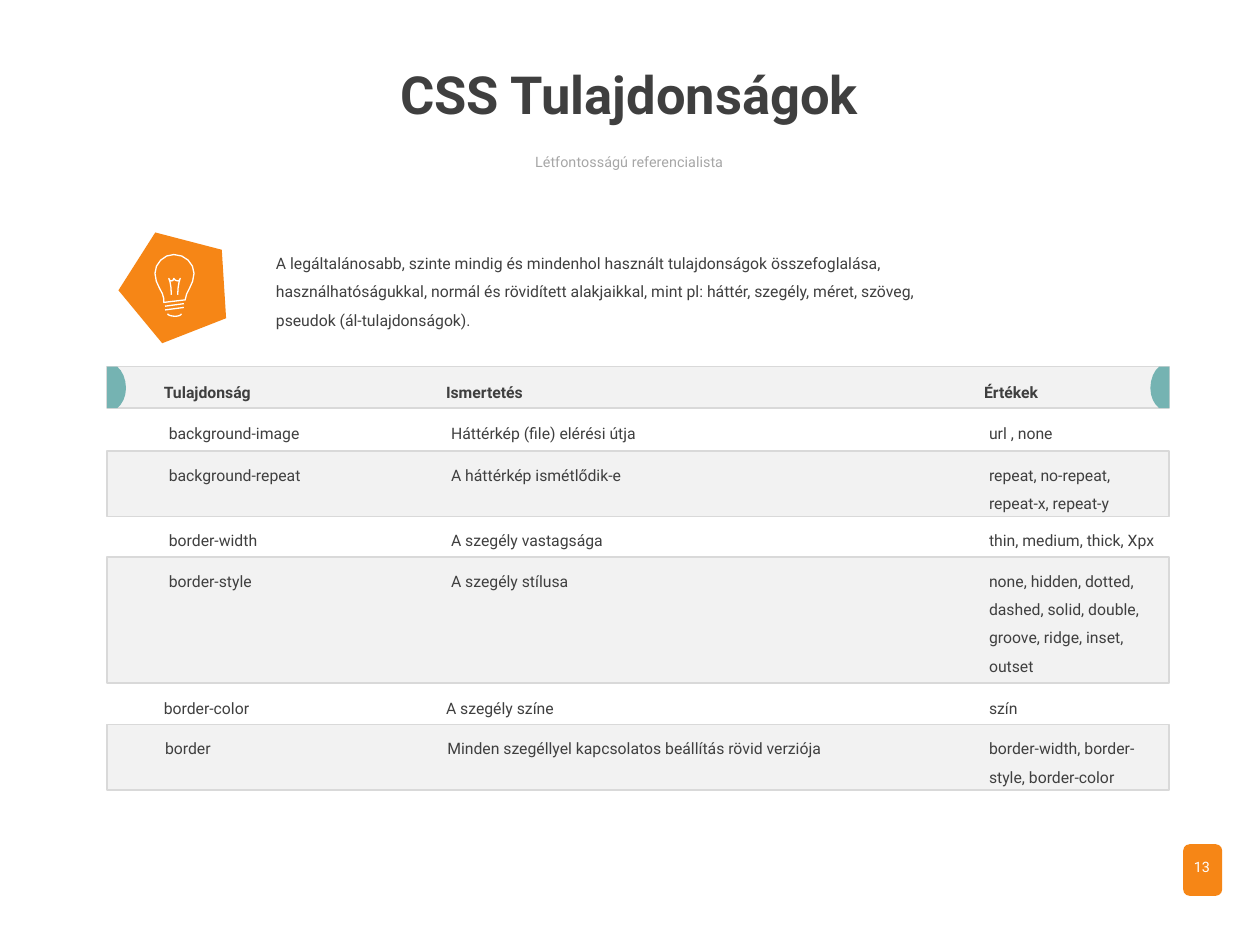
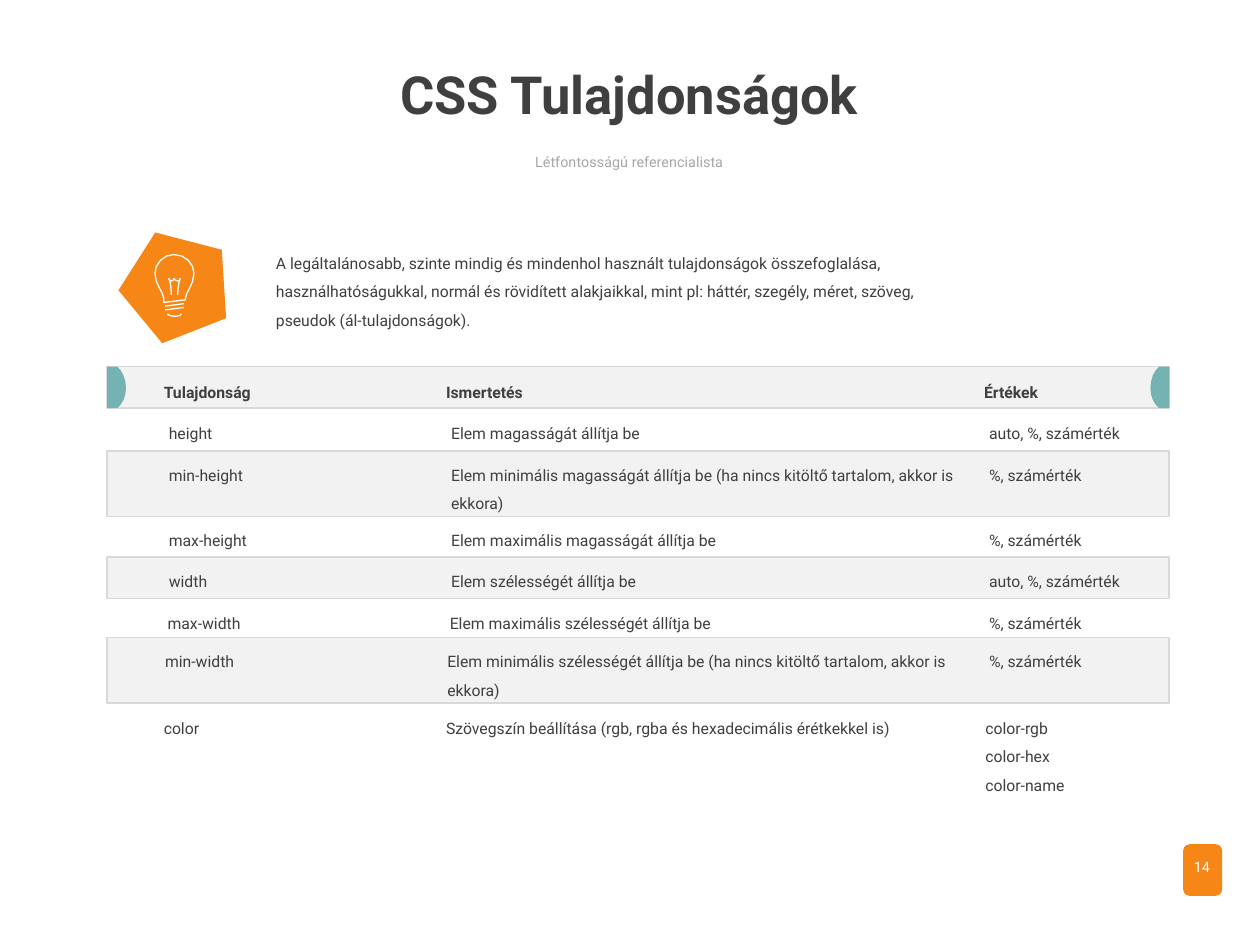
from lxml import etree
from pptx import Presentation
from pptx.dml.color import RGBColor
from pptx.enum.shapes import MSO_CONNECTOR, MSO_SHAPE
from pptx.enum.text import MSO_ANCHOR, MSO_AUTO_SIZE, PP_ALIGN
from pptx.oxml.ns import qn
from pptx.util import Inches, Pt

FONT = "Roboto"
COLORS = {
    "text": "3F3F3F",
    "muted": "A6A6A6",
    "orange": "F68616",
    "teal": "75B3B2",
    "band": "F2F2F2",
    "border": "D9D9D9",
    "white": "FFFFFF",
}

TITLE = "CSS Tulajdonságok"
SUBTITLE = "Létfontosságú referencialista"
INTRO = (
    "A legáltalánosabb, szinte mindig és mindenhol használt tulajdonságok összefoglalása, "
    "használhatóságukkal, normál és rövidített alakjaikkal, mint pl: háttér, szegély, méret, "
    "szöveg, pseudok (ál-tulajdonságok)."
)
FIRST_PAGE = 13

# Each row: top, indent of the first two columns, indent of the values,
# band height (0 for none), property, description, values
HEADER = (2.91, 0, 0, 0.33, "Tulajdonság", "Ismertetés", "Értékek")
PAGES = [
    [
        (3.24, 0.04, 0.04, 0, "background-image", "Háttérkép (file) elérési útja", "url , none"),
        (3.57, 0.04, 0.04, 0.52, "background-repeat", "A háttérkép ismétlődik-e",
         "repeat, no-repeat,\nrepeat-x, repeat-y"),
        (4.09, 0.04, 0.04, 0, "border-width", "A szegély vastagsága", "thin, medium, thick, Xpx"),
        (4.41, 0.04, 0.04, 1, "border-style", "A szegély stílusa",
         "none, hidden, dotted,\ndashed, solid, double,\ngroove, ridge, inset,\noutset"),
        (5.42, 0, 0.04, 0, "border-color", "A szegély színe", "szín"),
        (5.74, 0.01, 0.04, 0.52, "border",
         "Minden szegéllyel kapcsolatos beállítás rövid verziója",
         "border-width, border-style, border-color"),
    ],
    [
        (3.24, 0.04, 0.04, 0, "height", "Elem magasságát állítja be", "auto, %, számérték"),
        (3.57, 0.04, 0.04, 0.52, "min-height",
         "Elem minimális magasságát állítja be (ha nincs kitöltő tartalom, akkor is ekkora)",
         "%, számérték"),
        (4.09, 0.04, 0.04, 0, "max-height", "Elem maximális magasságát állítja be",
         "%, számérték"),
        (4.41, 0.04, 0.04, 0.33, "width", "Elem szélességét állítja be", "auto, %, számérték"),
        (4.75, 0.03, 0.04, 0, "max-width", "Elem maximális szélességét állítja be",
         "%, számérték"),
        (5.05, 0.01, 0.04, 0.52, "min-width",
         "Elem minimális szélességét állítja be (ha nincs kitöltő tartalom, akkor is ekkora)",
         "%, számérték"),
        (5.58, 0, 0.01, 0, "color",
         "Szövegszín beállítása (rgb, rgba és hexadecimális érétkekkel is)",
         "color-rgb\ncolor-hex\ncolor-name"),
    ],
]

BAND_LEFT, BAND_WIDTH = 0.85, 8.43
BAND_DROP = 0.01
COLUMNS = ((1.21, 2.24), (3.45, 4.27), (7.72, 1.56))
LINE_BOX = 0.3

# Outlines: start point, cubic curves (control, control, end), closing corners
CAP = ((0.93, 2.91), [
    ((0.97, 2.94), (1, 3.01), (1, 3.08)),
    ((1, 3.15), (0.97, 3.21), (0.93, 3.24)),
], [(0.85, 3.24), (0.85, 2.91)])
BULB_GLASS = ((1.47, 2.38), [
    ((1.47, 2.32), (1.54, 2.26), (1.54, 2.17)),
    ((1.54, 2.09), (1.47, 2.02), (1.38, 2.02)),
    ((1.3, 2.02), (1.23, 2.09), (1.23, 2.17)),
    ((1.23, 2.26), (1.3, 2.32), (1.3, 2.37)),
], [(1.3, 2.4)])
BULB_BASE = ((1.44, 2.49), [
    ((1.44, 2.5), (1.42, 2.51), (1.39, 2.51)),
    ((1.36, 2.51), (1.33, 2.5), (1.33, 2.49)),
], [])
BULB_FILAMENT = ((1.36, 2.34), [
    ((1.36, 2.25), (1.34, 2.21), (1.34, 2.21)),
    ((1.34, 2.22), (1.35, 2.23), (1.36, 2.23)),
    ((1.37, 2.23), (1.38, 2.22), (1.38, 2.21)),
    ((1.38, 2.22), (1.4, 2.23), (1.41, 2.23)),
    ((1.42, 2.23), (1.43, 2.22), (1.43, 2.21)),
    ((1.43, 2.21), (1.41, 2.26), (1.41, 2.34)),
], [])
BULB_THREADS = (2.43, 2.46)


def color(name):
    return RGBColor.from_string(COLORS[name])


def box(*lengths):
    return [Inches(length) for length in lengths]


def format_text(frame, size=9, color_name="text", bold=False, align=PP_ALIGN.LEFT, spacing=1.5):
    for paragraph in frame.paragraphs:
        paragraph.alignment = align
        paragraph.line_spacing = spacing
        paragraph.space_before = Pt(0)
        font = paragraph.font
        font.name, font.size, font.bold = FONT, Pt(size), bold
        font.color.rgb = color(color_name)


def fill_placeholder(placeholder, text, bounds, **style):
    placeholder.left, placeholder.top, placeholder.width, placeholder.height = box(*bounds)
    frame = placeholder.text_frame
    frame.text = text
    frame.auto_size = MSO_AUTO_SIZE.NONE
    frame.vertical_anchor = MSO_ANCHOR.TOP
    format_text(frame, align=PP_ALIGN.CENTER, spacing=0.9, **style)


def add_text(slide, text, bounds, **style):
    frame = slide.shapes.add_textbox(*box(*bounds)).text_frame
    frame.word_wrap = True
    frame.auto_size = MSO_AUTO_SIZE.SHAPE_TO_FIT_TEXT
    frame.margin_left = frame.margin_right = Inches(0.09)
    frame.text = text
    format_text(frame, **style)


def paint(shape, fill=None, line=None, width=1):
    shape.shadow.inherit = False
    if fill:
        shape.fill.solid()
        shape.fill.fore_color.rgb = color(fill)
    else:
        shape.fill.background()
    if line:
        shape.line.color.rgb = color(line)
        shape.line.width = Pt(width)
    else:
        shape.line.fill.background()


def add_preset(slide, preset, bounds, **colors):
    shape = slide.shapes.add_shape(preset, *box(*bounds))
    paint(shape, **colors)
    return shape


def curve_points(start, curves, corners, steps=4):
    """Return points along a chain of cubic Bézier curves, then the corners."""
    points = [start]
    for first, second, end in curves:
        begin = points[-1]
        for step in range(1, steps + 1):
            t = step / steps
            u = 1 - t
            points.append(tuple(
                u**3 * a + 3 * u * u * t * b + 3 * u * t * t * c + t**3 * d
                for a, b, c, d in zip(begin, first, second, end)))
    return points + corners


def add_outline(shapes, points, closed, **colors):
    start, *others = [box(*point) for point in points]
    builder = shapes.build_freeform(*start)
    builder.add_line_segments(others, close=closed)
    paint(builder.convert_to_shape(), **colors)


def add_bulb(slide):
    shapes = slide.shapes.add_group_shape().shapes
    for outline, closed in ((BULB_GLASS, True), (BULB_BASE, False), (BULB_FILAMENT, False)):
        add_outline(shapes, curve_points(*outline), closed, line="white", width=0.75)
    for y in BULB_THREADS:
        thread = shapes.add_connector(MSO_CONNECTOR.STRAIGHT, *box(1.31, y, 1.46, y - 0.02))
        thread.line.color.rgb = color("white")
        thread.line.width = Pt(0.75)
        etree.SubElement(thread._element.spPr, qn("a:effectLst"))


def add_caps(slide):
    """Round off both ends of the header band."""
    left_cap = curve_points(*CAP)
    mirror = 2 * BAND_LEFT + BAND_WIDTH
    right_cap = [(mirror - x, y) for x, y in left_cap]
    for points in (left_cap, right_cap):
        add_outline(slide.shapes, points, True, fill="teal")


def add_row(slide, row):
    top, indent, value_indent, band_height, *texts = row
    is_header = row is HEADER
    if band_height:
        band_top = top if is_header else top + BAND_DROP
        add_preset(slide, MSO_SHAPE.RECTANGLE, (BAND_LEFT, band_top, BAND_WIDTH, band_height),
                   fill="band", line="border")
    if is_header:
        add_caps(slide)
    indents = (indent, indent, value_indent)
    for (left, width), shift, text in zip(COLUMNS, indents, texts):
        add_text(slide, text, (left + shift, top, width, LINE_BOX), bold=is_header)


def add_page(presentation, number, rows):
    slide = presentation.slides.add_slide(presentation.slide_layouts[0])
    title, subtitle = slide.placeholders
    fill_placeholder(title, TITLE, (2.59, 0.5, 4.81, 0.81), size=30, bold=True)
    fill_placeholder(subtitle, SUBTITLE, (2.59, 1.18, 4.81, 0.35), size=8.25, color_name="muted")

    add_preset(slide, MSO_SHAPE.ROUNDED_RECTANGLE, (9.39, 6.7, 0.31, 0.41), fill="orange")
    add_text(slide, str(number), (9.34, 6.76, 0.4, 0.24), size=8.25, color_name="white",
             align=PP_ALIGN.CENTER, spacing=1.0)

    pentagon = add_preset(slide, MSO_SHAPE.REGULAR_PENTAGON, (1, 1.88, 0.88, 0.84), fill="orange")
    pentagon.rotation = 122.5
    add_bulb(slide)
    add_text(slide, INTRO, (2.1, 1.89, 5.3, 0.76))

    for row in (HEADER, *rows):
        add_row(slide, row)


def main():
    presentation = Presentation()
    presentation.slide_width, presentation.slide_height = box(10, 7.5)
    for number, rows in enumerate(PAGES, FIRST_PAGE):
        add_page(presentation, number, rows)
    presentation.save("out.pptx")


if __name__ == "__main__":
    main()
